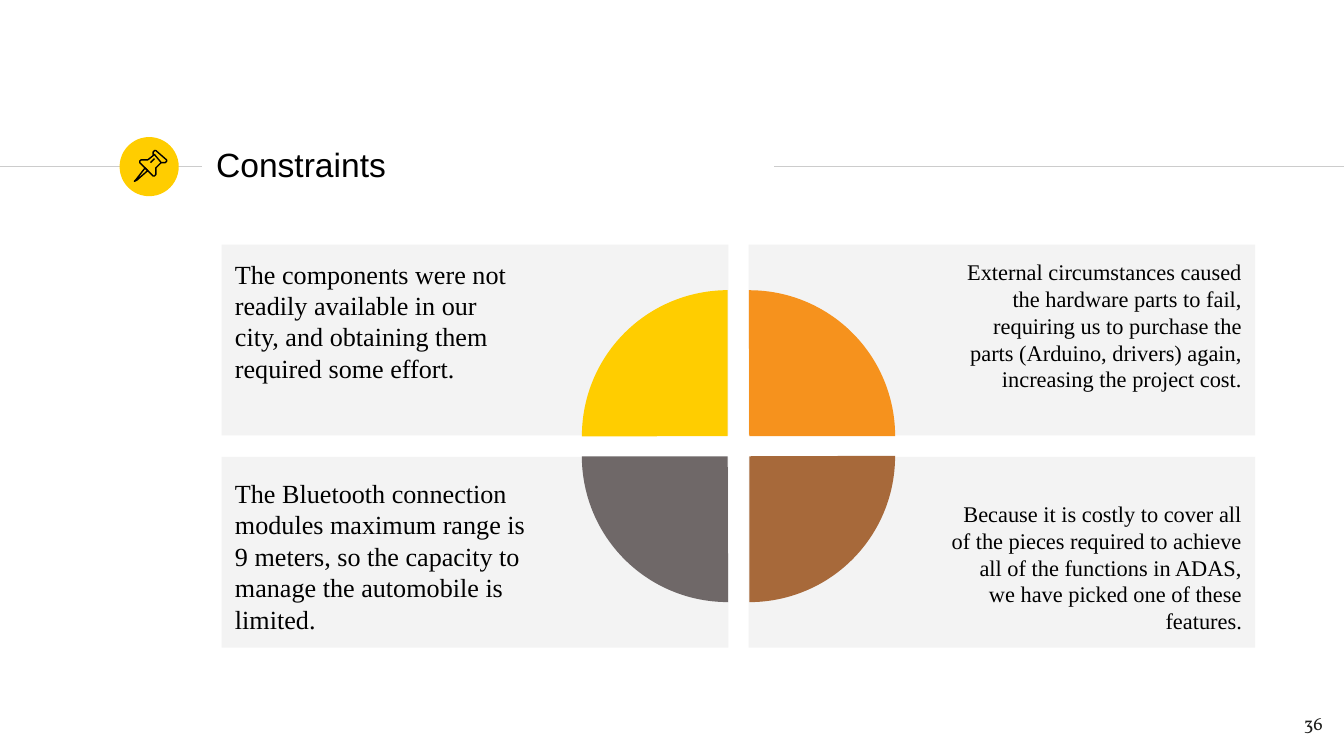
from pptx import Presentation
from pptx.dml.color import RGBColor
from pptx.enum.shapes import MSO_CONNECTOR, MSO_SHAPE
from pptx.enum.text import MSO_ANCHOR, PP_ALIGN
from pptx.oxml.ns import qn
from pptx.util import Inches, Pt
from lxml import etree

BLACK = RGBColor(0x00, 0x00, 0x00)
INK = RGBColor(0x1D, 0x1D, 0x1B)
RULE = RGBColor(0xCC, 0xCC, 0xCC)
PANEL = RGBColor(0xF3, 0xF3, 0xF3)
YELLOW = RGBColor(0xFF, 0xCD, 0x00)
ORANGE = RGBColor(0xF6, 0x92, 0x1D)
BROWN = RGBColor(0xA7, 0x69, 0x3A)
GRAY = RGBColor(0x6F, 0x68, 0x68)

prs = Presentation()
prs.slide_width = Inches(10)
prs.slide_height = Inches(10) * 9 // 16
s = prs.slides.add_slide(prs.slide_layouts[6])


def add_shape(kind, x, y, w, h, color):
    sp = s.shapes.add_shape(kind, Inches(x), Inches(y), Inches(w), Inches(h))
    sp.shadow.inherit = False
    sp.fill.solid()
    sp.fill.fore_color.rgb = color
    sp.line.fill.background()
    return sp


def write(sp, text, size, font, color=BLACK, align=PP_ALIGN.LEFT,
          anchor=MSO_ANCHOR.TOP, left=0.1, right=0.1):
    tf = sp.text_frame
    tf.word_wrap = True
    tf.vertical_anchor = anchor
    tf.margin_left, tf.margin_right = Inches(left), Inches(right)
    tf.margin_top = tf.margin_bottom = Inches(0.1)
    p = tf.paragraphs[0]
    p.alignment = align
    r = p.add_run()
    r.text = text
    r.font.size = Pt(size)
    r.font.name = font
    r.font.color.rgb = color


for x1, x2 in [(0, 1.5), (5.76, 10)]:
    line = s.shapes.add_connector(
        MSO_CONNECTOR.STRAIGHT, Inches(x1), Inches(1.24), Inches(x2), Inches(1.24))
    line.line.color.rgb = RULE
    line.line.width = Pt(0.75)
    etree.SubElement(line._element.spPr, qn("a:effectLst"))

add_shape(MSO_SHAPE.OVAL, 0.89, 1.02, 0.44, 0.44, YELLOW)

title = s.shapes.add_textbox(Inches(1.51), Inches(0.98), Inches(4.24), Inches(0.48))
write(title, "Constraints", 18, "Arial", anchor=MSO_ANCHOR.MIDDLE)
number = s.shapes.add_textbox(Inches(9.34), Inches(5.21), Inches(0.6), Inches(0.41))
write(number, "36", 10, "Vollkorn", INK, PP_ALIGN.RIGHT)

constraints = [
    (0, 0, "The components were not readily available in our city, and obtaining "
           "them required some effort."),
    (1, 0, "External circumstances caused the hardware parts to fail, requiring us to "
           "purchase the parts (Arduino, drivers) again, increasing the project cost."),
    (0, 1, "The Bluetooth connection modules maximum range is 9 meters, so the "
           "capacity to manage the automobile is limited."),
    (1, 1, "Because it is costly to cover all of the pieces required to achieve all of "
           "the functions in ADAS, we have picked one of these features."),
]
for col, row, text in constraints:
    panel = add_shape(MSO_SHAPE.RECTANGLE, 1.65 + col * 3.92, 1.82 + row * 1.58,
                      3.77, 1.42, PANEL)
    write(panel, text, 12 if col else 14, "Times New Roman",
          align=PP_ALIGN.RIGHT if col else PP_ALIGN.LEFT,
          anchor=MSO_ANCHOR.BOTTOM if row else MSO_ANCHOR.TOP,
          left=1.5 if col else 0.1, right=0.1 if col else 1.5)

quarters = [(0, 0, YELLOW), (1, 0, ORANGE), (1, 1, BROWN), (0, 1, GRAY)]
for i, (col, row, color) in enumerate(quarters):
    pie = add_shape(MSO_SHAPE.PIE, 4.33 + col * 0.16, 2.16 + row * 0.15, 2.17, 2.17, color)
    pie.adjustments[0], pie.adjustments[1] = 107.89, 162
    pie.rotation = i * 90

pin_parts = [
    ([(108, 125), (101, 134), (100, 135), (102, 134), (110, 127)], True),
    ([(115, 115), (120, 121), (122, 121), (123, 121), (124, 120), (124, 119),
      (116, 112), (115, 112), (114, 113), (114, 115)], True),
    ([(115, 115), (110, 119), (109, 119), (107, 119), (105, 119), (104, 120),
      (104, 121), (114, 131), (115, 131), (116, 130), (116, 128), (116, 125),
      (120, 121)], False),
    ([(112, 121), (115, 118)], False),
]
for points, closed in pin_parts:
    fb = s.shapes.build_freeform(*points[0], scale=Inches(0.01))
    fb.add_line_segments(points[1:], close=closed)
    part = fb.convert_to_shape()
    part.shadow.inherit = False
    part.fill.background()
    part.line.color.rgb = BLACK
    part.line.width = Pt(0.75)

prs.save("out.pptx")
